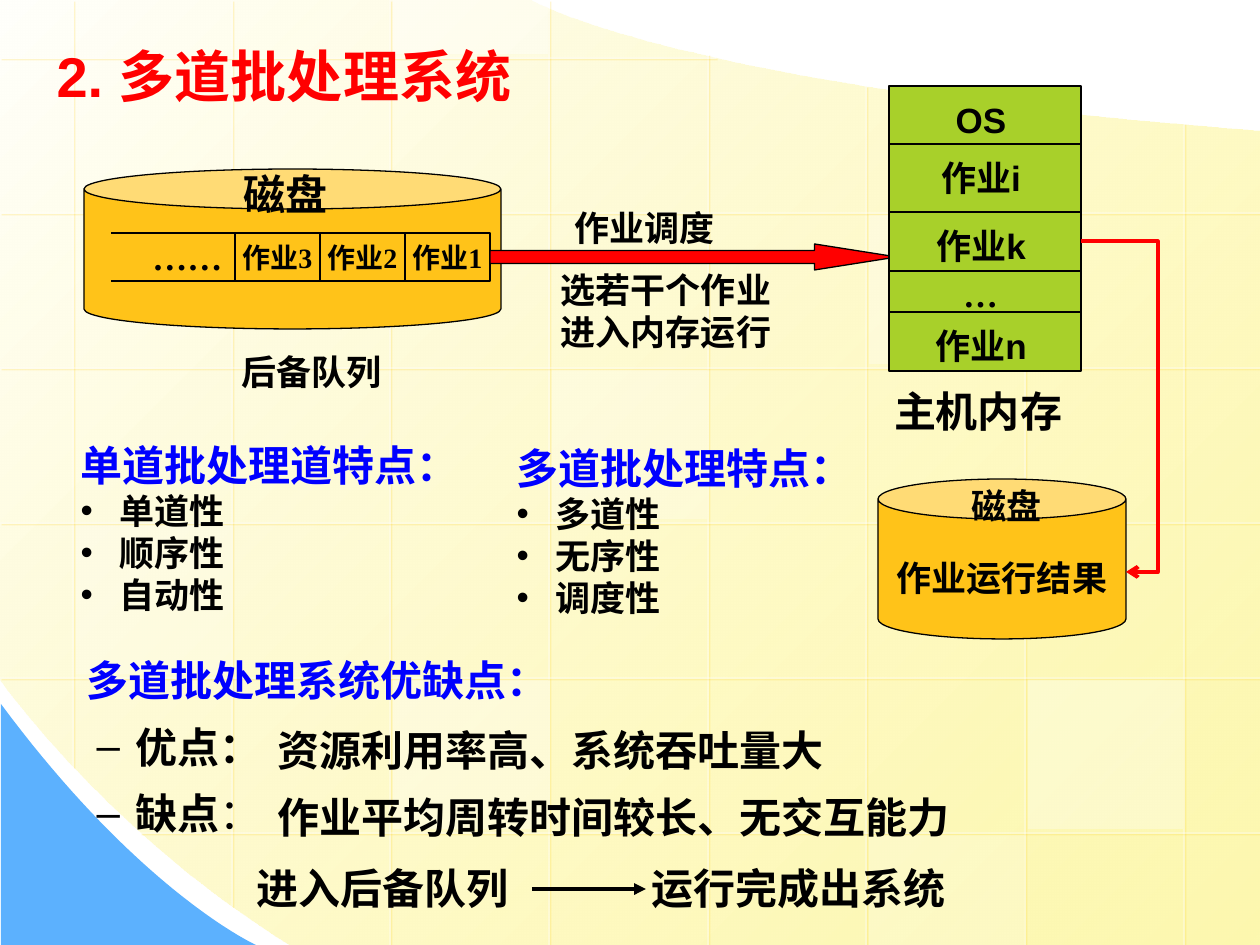
import dataclasses
import typing

import lxml.etree
import pptx
import pptx.dml.color
import pptx.enum.shapes
import pptx.enum.text
import pptx.oxml.ns
import pptx.util

EMU_PER_PX = 914400 / 126
WIDTH, HEIGHT = 1260, 945
BLACK, WHITE, RED, BLUE = "000000", "FFFFFF", "FF0000", "0000FF"
ORANGE, GREEN = "FFC319", "A8D02A"
CJK_FONT = "Noto Sans CJK SC"
SHAPE = pptx.enum.shapes.MSO_SHAPE
CONNECTOR = pptx.enum.shapes.MSO_CONNECTOR
ALIGN = pptx.enum.text.PP_ALIGN
ANCHOR = pptx.enum.text.MSO_ANCHOR
qn = pptx.oxml.ns.qn


class Box(typing.NamedTuple):
    left: int
    top: int
    width: int
    height: int


@dataclasses.dataclass
class Line:
    text: str
    size: int = 20
    color: str = BLACK
    font: str = "Arial"
    align: ALIGN = ALIGN.LEFT
    margin: int = 0
    first: int = 0
    bullet: str = ""
    spacing: float = 1.15
    before: float = 0
    plain_tail: str = ""


@dataclasses.dataclass
class MemoryCell:
    text: str
    top: int
    height: int
    font: str = "Arial"


def px(length: float) -> int:
    return round(length * EMU_PER_PX)


def rgb(color: str) -> pptx.dml.color.RGBColor:
    return pptx.dml.color.RGBColor.from_string(color)


def add_xml(parent, tag: str, **attributes):
    return lxml.etree.SubElement(parent, qn(tag), {key: str(value) for key, value in attributes.items()})


def set_alpha(shape, percent: int) -> None:
    add_xml(list(shape.element.iter(qn("a:srgbClr")))[-1], "a:alpha", val=percent * 1000)


def write(shape, lines: list[Line], anchor=ANCHOR.TOP, wrap: bool = True) -> None:
    frame = shape.text_frame
    frame.auto_size = pptx.enum.text.MSO_AUTO_SIZE.NONE
    frame.word_wrap = wrap
    frame.vertical_anchor = anchor
    frame.text = "\n".join(line.text for line in lines)
    for paragraph, line in zip(frame.paragraphs, lines):
        properties = paragraph._p.get_or_add_pPr()
        properties.set("marL", str(px(line.margin)))
        properties.set("indent", str(px(line.first)))
        if line.bullet:
            add_xml(properties, "a:buChar", char=line.bullet)
        else:
            add_xml(properties, "a:buNone")
        paragraph.alignment = line.align
        paragraph.line_spacing = line.spacing
        paragraph.space_before = pptx.util.Pt(line.before)
        paragraph.space_after = pptx.util.Pt(0)
        if line.plain_tail:
            paragraph.add_run().text = line.plain_tail
        for run in paragraph.runs:
            run.font.size = pptx.util.Pt(line.size)
            run.font.bold = run.text != line.plain_tail
            run.font.name = line.font
            run.font.color.rgb = rgb(line.color)
            add_xml(run.font._element, "a:ea", typeface=CJK_FONT)


def add_shape(slide, kind, box: Box, fill: str = "", outline: str = BLACK):
    shape = slide.shapes.add_shape(kind, *map(px, box))
    finish(shape, fill, outline)
    return shape


def finish(shape, fill: str, outline: str) -> None:
    shape.shadow.inherit = False
    if fill:
        shape.fill.solid()
        shape.fill.fore_color.rgb = rgb(fill)
    else:
        shape.fill.background()
    if outline:
        shape.line.color.rgb = rgb(outline)
        shape.line.width = pptx.util.Pt(0.75)
    else:
        shape.line.fill.background()


def add_text(slide, box: Box, lines: list[Line]):
    shape = slide.shapes.add_textbox(*map(px, box))
    write(shape, lines)
    return shape


def add_label(slide, box: Box, *texts: str, size: int = 20, font: str = "Arial", spacing: float = 1.15):
    return add_text(slide, box, [Line(text, size, font=font, align=ALIGN.CENTER, margin=102,
                                      first=-39, spacing=spacing) for text in texts])


def add_line(slide, kind, start: tuple, end: tuple, color: str, width: float, head: str = ""):
    connector = slide.shapes.add_connector(kind, *map(px, start + end))
    connector.line.color.rgb = rgb(color)
    connector.line.width = pptx.util.Pt(width)
    if head:
        add_xml(connector.line._get_or_add_ln(), "a:tailEnd", type=head)
    return connector, add_xml(connector.element.spPr, "a:effectLst")


def add_grid_line(slide, start: tuple, end: tuple) -> None:
    connector, effects = add_line(slide, CONNECTOR.STRAIGHT, start, end, WHITE, 0.75)
    set_alpha(connector, 50)
    shadow = add_xml(effects, "a:outerShdw", dist=17780, dir=2700000, algn="ctr", rotWithShape=0)
    add_xml(add_xml(shadow, "a:srgbClr", val="FFCC00"), "a:alpha", val=34000)


def curve(*controls: tuple, steps: int = 40) -> list[tuple]:
    weights = [((1 - t) ** 3, 3 * t * (1 - t) ** 2, 3 * t * t * (1 - t), t ** 3)
               for t in (step / steps for step in range(steps + 1))]
    return [tuple(sum(w * point[axis] for w, point in zip(weight, controls)) for axis in (0, 1))
            for weight in weights]


def add_outline(slide, points: list[tuple], fill: str):
    points = [(px(x), px(y)) for x, y in points]
    builder = slide.shapes.build_freeform(*points[0])
    builder.add_line_segments(points[1:], close=True)
    shape = builder.convert_to_shape()
    finish(shape, fill, "")
    return shape


def draw_background(slide) -> None:
    lower = curve((290, 945), (108, 833), (0, 679), (0, 679))
    upper = curve((530, 0), (530, 0), (677, 87), (1260, 131))
    page = add_outline(slide, [(WIDTH, HEIGHT)] + lower + [(0, 0)] + upper, WHITE)
    page.fill.gradient()
    page.fill.gradient_angle = 315
    for stop, color in zip(page.fill.gradient_stops, ("FFFFFB", "FDF58D")):
        stop.color.rgb = rgb(color)
    set_alpha(page, 70)
    add_outline(slide, [(1, 945)] + curve((256, 945), (256, 945), (141, 893), (1, 704)), "5CB1FE")

    columns = [round(73 + 158.7 * index) for index in range(8)]
    rows = [58 + 155 * index for index in range(-1, 6)]
    tops = (0, 0, 0, 0, 54, 86, 107, 123)
    bottoms = (767, 906) + (HEIGHT,) * 6
    for x, top, bottom in zip(columns, tops, bottoms):
        add_grid_line(slide, (x, top), (x, bottom))
    for y, left, right in zip(rows[1:], (0,) * 5 + (140,), (716,) + (WIDTH,) * 5):
        add_grid_line(slide, (right, y), (left, y))
    for column, row, alpha in ((3, 3, 25), (6, 5, 30), (0, 4, 20), (5, 6, 20), (2, 0, 40), (2, 5, 30), (5, 2, 30)):
        top, bottom = max(0, rows[row] + 2), min(HEIGHT, rows[row] + 151)
        tile = add_shape(slide, SHAPE.RECTANGLE, Box(columns[column] + 3, top, 155, bottom - top), WHITE, "")
        set_alpha(tile, alpha)


def draw_queue(slide) -> None:
    add_shape(slide, SHAPE.CAN, Box(84, 169, 417, 160), ORANGE)
    for index, job in enumerate(("作业3", "作业2", "作业1")):
        cell = add_shape(slide, SHAPE.RECTANGLE, Box(235 + 85 * index, 233, 85, 48), ORANGE)
        write(cell, [Line(job, 16, font="Times New Roman", align=ALIGN.CENTER, spacing=1)], ANCHOR.MIDDLE, False)
    rest = add_shape(slide, SHAPE.RECTANGLE, Box(101, 233, 134, 48), ORANGE)
    write(rest, [Line("……", font="Times New Roman", align=ALIGN.RIGHT, spacing=1)], ANCHOR.MIDDLE)
    add_shape(slide, SHAPE.RECTANGLE, Box(97, 220, 14, 76), ORANGE, "")
    add_label(slide, Box(142, 155, 224, 59), "磁盘", size=24)
    add_label(slide, Box(93, 338, 374, 52), "后备队列")
    arrow = add_shape(slide, SHAPE.RIGHT_ARROW, Box(490, 244, 407, 26), RED)
    arrow.adjustments[1] = 3.17
    add_label(slide, Box(426, 194, 374, 52), "作业调度")
    add_label(slide, Box(469, 262, 331, 82), "选若干个作业", "进入内存运行", spacing=1)


def draw_memory(slide) -> dict:
    cells = [MemoryCell("OS", 86, 107), MemoryCell("作业i", 144, 123), MemoryCell("作业k", 212, 59),
             MemoryCell("…", 271, 48, CJK_FONT), MemoryCell("作业n", 312, 59)]
    rectangles = {}
    for cell in cells:
        rectangles[cell.text] = add_shape(slide, SHAPE.RECTANGLE, Box(889, cell.top, 192, cell.height), GREEN)
        add_label(slide, Box(746, cell.top, 407, 52), cell.text, font=cell.font)
    add_label(slide, Box(767, 372, 359, 59), "主机内存", size=24)
    return rectangles


def draw_result(slide, source) -> None:
    add_shape(slide, SHAPE.CAN, Box(878, 479, 248, 160), ORANGE)
    result = add_text(slide, Box(878, 544, 248, 56), [Line("作业运行结果", align=ALIGN.CENTER)])
    add_text(slide, Box(927, 472, 159, 62), [Line("磁盘", align=ALIGN.CENTER)])
    connector, _ = add_line(slide, CONNECTOR.ELBOW, (1081, 241), (1126, 572), RED, 2.25, "arrow")
    connector.begin_connect(source, 3)
    connector.end_connect(result, 3)
    guides = next(connector.element.iter(qn("a:prstGeom"))).get_or_add_avLst()
    add_xml(guides, "a:gd", name="adj1", fmla="val 170700")


def draw_turnaround(slide) -> None:
    for left, width, text in ((244, 280, "进入后备队列"), (639, 453, "运行完成出系统")):
        add_text(slide, Box(left, 849, width, 71), [Line(text, 24)])
    add_line(slide, CONNECTOR.STRAIGHT, (532, 889), (646, 889), BLACK, 2.25, "triangle")


def feature_lines(heading: str, features: tuple) -> list[Line]:
    return [Line(heading, 24, BLUE, margin=102, first=-39, spacing=1)] + [
        Line(feature, margin=102, first=-39, bullet="•", spacing=1) for feature in features]


def fill_placeholders(slide) -> None:
    verdict = dict(size=24, font=CJK_FONT, margin=49, first=-39, bullet="–", before=4.8)
    contents = [
        (Box(44, 35, 755, 79), [Line("2. 多道批处理系统", 32, RED, margin=48, first=-48, spacing=1)]),
        (Box(5, 433, 486, 190), feature_lines("单道批处理道特点：", ("单道性", "顺序性", "自动性"))),
        (Box(441, 436, 446, 190), feature_lines("多道批处理特点：", ("多道性", "无序性", "调度性"))),
        (Box(74, 641, 507, 208), [Line("多道批处理系统优缺点：", 24, BLUE, CJK_FONT, margin=48, first=-48),
                                  Line("优点：", **verdict), Line("缺点", plain_tail="：", **verdict)]),
        (Box(202, 711, 794, 139), [Line("资源利用率高、系统吞吐量大", 24, margin=63),
                                   Line("作业平均周转时间较长、无交互能力", 24, margin=63, before=4.8)]),
    ]
    for placeholder, (box, lines) in zip(list(slide.placeholders), contents):
        placeholder.left, placeholder.top, placeholder.width, placeholder.height = map(px, box)
        write(placeholder, lines)
        slide.shapes.element.append(placeholder.element)


def main() -> None:
    presentation = pptx.Presentation()
    presentation.slide_width, presentation.slide_height = px(WIDTH), px(HEIGHT)
    slide = presentation.slides.add_slide(presentation.slide_layouts[4])
    draw_background(slide)
    draw_queue(slide)
    memory = draw_memory(slide)
    draw_result(slide, memory["作业k"])
    fill_placeholders(slide)
    draw_turnaround(slide)
    presentation.save("out.pptx")


if __name__ == "__main__":
    main()
